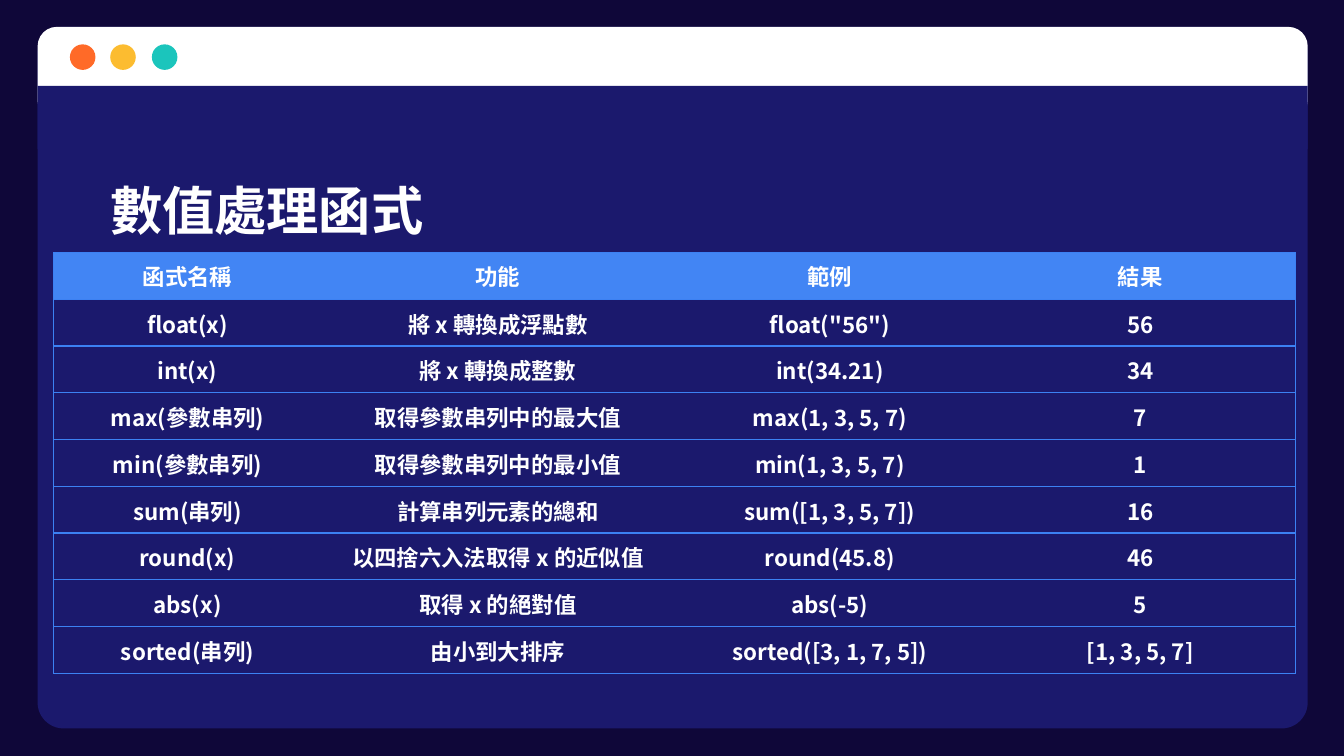
from pptx import Presentation
from pptx.dml.color import RGBColor
from pptx.enum import shapes, text
from pptx.oxml.ns import qn
from pptx.util import Inches, Pt
from lxml import etree

FONT = "Noto Sans CJK SC"
BACKGROUND = RGBColor(0x0F, 0x07, 0x39)
PANEL = RGBColor(0x1B, 0x19, 0x6D)
WHITE = RGBColor(0xFF, 0xFF, 0xFF)
ORANGE = RGBColor(0xFF, 0x6A, 0x28)
YELLOW = RGBColor(0xFC, 0xBC, 0x30)
TEAL = RGBColor(0x1B, 0xC5, 0xBC)
HEADER = RGBColor(0x42, 0x85, 0xF4)
BORDER = RGBColor(0x3C, 0x81, 0xF3)

ROWS = [
    ("函式名稱", "功能", "範例", "結果"),
    ("float(x)", "將 x 轉換成浮點數", 'float("56")', "56"),
    ("int(x)", "將 x 轉換成整數", "int(34.21)", "34"),
    ("max(參數串列)", "取得參數串列中的最大值", "max(1, 3, 5, 7)", "7"),
    ("min(參數串列)", "取得參數串列中的最小值", "min(1, 3, 5, 7)", "1"),
    ("sum(串列)", "計算串列元素的總和", "sum([1, 3, 5, 7])", "16"),
    ("round(x)", "以四捨六入法取得 x 的近似值", "round(45.8)", "46"),
    ("abs(x)", "取得 x 的絕對值", "abs(-5)", "5"),
    ("sorted(串列)", "由小到大排序", "sorted([3, 1, 7, 5])", "[1, 3, 5, 7]"),
]
COLUMN_WIDTHS = (1.99, 2.63, 2.31, 2.31)
TABLE_HEIGHT = 3.13


def write_text(paragraph, content, size):
    """Add a bold white run, with the font also set for East Asian text."""
    run = paragraph.add_run()
    run.text = content
    for name, value in {"size": Pt(size), "bold": True, "name": FONT}.items():
        setattr(run.font, name, value)
    run.font.color.rgb = WHITE
    etree.SubElement(run.font._element, qn("a:ea"), typeface=FONT)


def set_border(cell, side, visible):
    line = etree.SubElement(cell._tc.get_or_add_tcPr(), qn("a:ln" + side), w=str(Pt(0.75)))
    if visible:
        fill = etree.SubElement(line, qn("a:solidFill"))
        etree.SubElement(fill, qn("a:srgbClr"), val=str(BORDER))
    else:
        etree.SubElement(line, qn("a:noFill"))


presentation = Presentation()
presentation.slide_width = Inches(10)
presentation.slide_height = Inches(10 * 9 / 16)
slide = presentation.slides.add_slide(presentation.slide_layouts[6])
slide.background.fill.solid()
slide.background.fill.fore_color.rgb = BACKGROUND

# Browser window: body, title bar, square lower edge of the bar, buttons
ROUNDED = shapes.MSO_SHAPE.ROUNDED_RECTANGLE
window_parts = [
    (ROUNDED, 0.28, 0.2, 9.45, 5.22, PANEL, 0.037),
    (ROUNDED, 0.28, 0.2, 9.45, 0.69, WHITE, 0.207),
    (ROUNDED, 0.28, 0.64, 9.45, 0.47, PANEL, 0),
]
for left, color in zip((0.52, 0.82, 1.13), (ORANGE, YELLOW, TEAL)):
    window_parts.append((shapes.MSO_SHAPE.OVAL, left, 0.33, 0.19, 0.19, color, None))

for kind, left, top, width, height, color, rounding in window_parts:
    shape = slide.shapes.add_shape(kind, Inches(left), Inches(top), Inches(width), Inches(height))
    shape.shadow.inherit = False
    shape.fill.solid()
    shape.fill.fore_color.rgb = color
    shape.line.fill.background()
    if rounding is not None:
        shape.adjustments[0] = rounding

title = slide.shapes.add_textbox(Inches(0.82), Inches(1.09), Inches(8.82), Inches(0.94))
title_format = {
    "word_wrap": True,
    "vertical_anchor": text.MSO_ANCHOR.MIDDLE,
    "margin_left": 0,
    "margin_right": 0,
    "margin_top": Inches(0.1),
    "margin_bottom": Inches(0.1),
}
for name, value in title_format.items():
    setattr(title.text_frame, name, value)
write_text(title.text_frame.paragraphs[0], "數值處理函式", 28)

table = slide.shapes.add_table(
    len(ROWS), len(COLUMN_WIDTHS), Inches(0.4), Inches(1.88),
    Inches(sum(COLUMN_WIDTHS)), Inches(TABLE_HEIGHT),
).table
table.horz_banding = False
for column, width in zip(table.columns, COLUMN_WIDTHS):
    column.width = Inches(width)

body_margins = {
    "margin_left": Inches(0.01),
    "margin_right": Inches(0.01),
    "margin_top": Inches(0.01),
    "margin_bottom": 0,
}
last_column = len(COLUMN_WIDTHS) - 1
for row_index, row in enumerate(ROWS):
    table.rows[row_index].height = Inches(TABLE_HEIGHT / len(ROWS))
    for column_index, content in enumerate(row):
        cell = table.cell(row_index, column_index)
        cell.vertical_anchor = text.MSO_ANCHOR.MIDDLE
        paragraph = cell.text_frame.paragraphs[0]
        paragraph.alignment = text.PP_ALIGN.CENTER
        write_text(paragraph, content, 12)

        set_border(cell, "L", column_index == 0)
        set_border(cell, "R", column_index == last_column)
        set_border(cell, "T", True)
        set_border(cell, "B", True)

        if row_index == 0:
            cell.fill.solid()
            cell.fill.fore_color.rgb = HEADER
        else:
            cell.fill.background()
            for name, value in body_margins.items():
                setattr(cell, name, value)

presentation.save("out.pptx")
